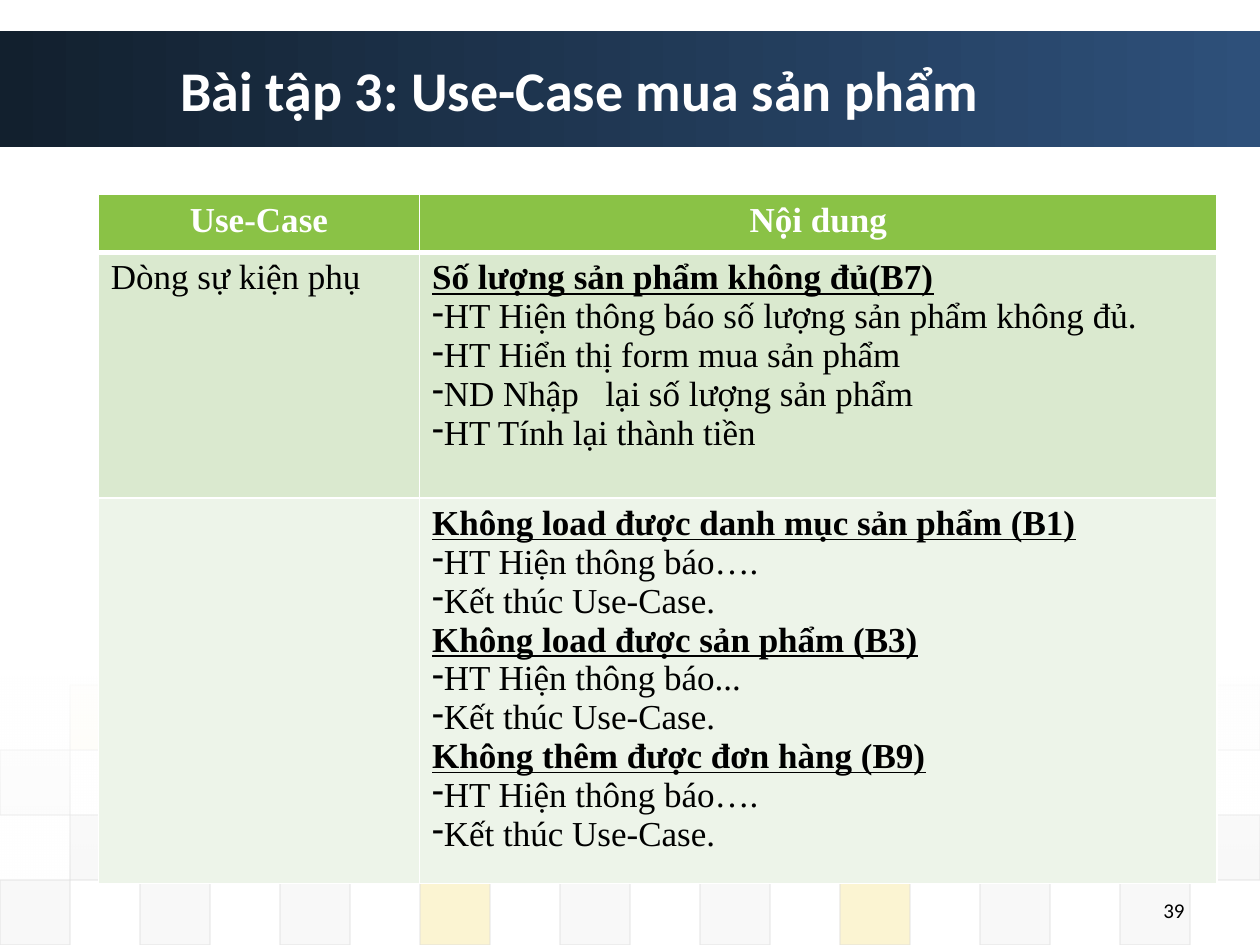
from pptx import Presentation
from pptx.dml.color import RGBColor
from pptx.enum.shapes import MSO_SHAPE
from pptx.enum.text import MSO_ANCHOR, PP_ALIGN
from pptx.oxml import parse_xml
from pptx.oxml.ns import nsdecls, qn
from pptx.util import Inches, Pt
from lxml.etree import SubElement


def color(value):
    return RGBColor.from_string(value)


class SlideBuilder:
    body_font = "Times New Roman"
    title_font = "Calibri"
    white, black, gray = "FFFFFF", "000000", "DDDDDD"
    green, yellow, pale = "8AC246", "EFC821", "EAEAEA"

    def __init__(self, presentation):
        self.width = presentation.slide_width
        self.height = presentation.slide_height
        self.slide = presentation.slides.add_slide(presentation.slide_layouts[5])

    def area(self, left, top, width, height):
        return (int(self.width * left / 100), int(self.height * top / 100),
                int(self.width * width / 100), int(self.height * height / 100))

    def set_alpha(self, fill_element, percents):
        for element, percent in zip(fill_element.iter(qn("a:srgbClr")), percents):
            SubElement(element, qn("a:alpha"), val=str(percent * 1000))

    def rectangle(self, area):
        shape = self.slide.shapes.add_shape(MSO_SHAPE.RECTANGLE, *self.area(*area))
        shape.shadow.inherit = False
        return shape

    def gradient(self, area, colors, angle, alphas=()):
        shape = self.rectangle(area)
        shape.line.fill.background()
        shape.fill.gradient()
        shape.fill.gradient_angle = angle
        for stop, position, value in zip(shape.fill.gradient_stops, (0, 1), colors):
            stop.position = position
            stop.color.rgb = color(value)
        self.set_alpha(shape.element.spPr.find(qn("a:gradFill")), alphas)

    def tile(self, area, value, alpha):
        shape = self.rectangle(area)
        shape.fill.solid()
        shape.fill.fore_color.rgb = color(value)
        shape.line.color.rgb = color(self.gray)
        shape.line.width = Pt(0.75)
        properties = shape.element.spPr
        self.set_alpha(properties.find(qn("a:solidFill")), [alpha])
        self.set_alpha(properties.find(qn("a:ln")), [60])

    def tiles(self, rows, accents):
        column_width, row_height = 100 / 18, 6.88
        top = 100 - len(rows) * row_height
        for row, (first, alpha) in enumerate(rows):
            for column in range(first, 18, 2):
                value = accents.get((row, column), self.pale if row == 0 else self.gray)
                self.tile((column * column_width, top + row * row_height,
                           column_width, row_height), value, alpha)

    def style(self, paragraph, font, size, value, bold=False, underline=False):
        paragraph.font.name = font
        paragraph.font.size = Pt(size)
        paragraph.font.color.rgb = color(value)
        paragraph.font.bold = bold
        paragraph.font.underline = underline

    def title(self, area, text):
        title = self.slide.shapes.title
        title.left, title.top, title.width, title.height = self.area(*area)
        title.text_frame.text = text
        title.text_frame.vertical_anchor = MSO_ANCHOR.MIDDLE
        paragraph = title.text_frame.paragraphs[0]
        paragraph.alignment = PP_ALIGN.LEFT
        self.style(paragraph, self.title_font, 32, self.white, bold=True)
        self.slide.shapes._spTree.append(title.element)

    def page_number(self, area, text):
        box = self.slide.shapes.add_textbox(*self.area(*area))
        box.text_frame.word_wrap = True
        box.text_frame.text = text
        paragraph = box.text_frame.paragraphs[0]
        paragraph.alignment = PP_ALIGN.RIGHT
        self.style(paragraph, self.title_font, 12, self.black)

    def fill_cell(self, cell, value, bottom_width):
        properties = cell._tc.get_or_add_tcPr()
        for side, points in (("L", 1), ("R", 1), ("T", 1), ("B", bottom_width)):
            properties.append(parse_xml(
                f'<a:ln{side} {nsdecls("a")} w="{Pt(points)}"><a:solidFill>'
                f'<a:srgbClr val="{self.white}"/></a:solidFill></a:ln{side}>'))
        cell.fill.solid()
        cell.fill.fore_color.rgb = color(value)

    def write_cell(self, cell, lines, header):
        cell.text = "\n".join(line.removeprefix("-") for line in lines)
        for line, paragraph in zip(lines, cell.text_frame.paragraphs):
            properties = paragraph._p.get_or_add_pPr()
            if line.startswith("-"):
                SubElement(properties, qn("a:buFontTx"))
                SubElement(properties, qn("a:buChar"), char="-")
            heading = len(lines) > 1 and not line.startswith("-")
            if header:
                paragraph.alignment = PP_ALIGN.CENTER
            self.style(paragraph, self.body_font, 20, self.white if header else self.black,
                       bold=header or heading, underline=heading)

    def table(self, area, rows, widths, heights, fills):
        table = self.slide.shapes.add_table(
            len(rows), len(widths), *self.area(*area)).table
        for column, width in zip(table.columns, widths):
            column.width = int(self.width * width / 100)
        for index, (row, height, value) in enumerate(zip(rows, heights, fills)):
            table.rows[index].height = int(self.height * height / 100)
            for cell, lines in zip(table.rows[index].cells, row):
                self.fill_cell(cell, value, 3 if index == 0 else 1)
                self.write_cell(cell, lines, index == 0)


def main():
    presentation = Presentation()
    presentation.slide_width, presentation.slide_height = Inches(10), Inches(7.5)
    builder = SlideBuilder(presentation)
    green, yellow, gray = builder.green, builder.yellow, builder.gray

    builder.gradient((0, 3.33, 100, 12.27), ("12202E", "2E507A"), 0)
    builder.tiles(
        [(1, 5), (0, 10), (1, 20), (0, 20)],
        {(0, 1): yellow, (0, 7): yellow, (0, 9): gray, (0, 11): yellow, (0, 15): green,
         (1, 8): green, (1, 16): yellow, (2, 3): green, (2, 13): green,
         (3, 6): yellow, (3, 12): yellow})
    builder.gradient((0, 71.6, 100, 21.6), ("FFFFFF", "FFFFFF"), 270, (90, 0))
    builder.title((13.3, 3.33, 86.5, 12.27), "Bài tập 3: Use-Case mua sản phẩm")
    rows = [
        (["Use-Case"], ["Nội dung"]),
        (["Dòng sự kiện phụ"],
         ["Số lượng sản phẩm không đủ(B7)",
          "-HT Hiện thông báo số lượng sản phẩm không đủ.",
          "-HT Hiển thị form mua sản phẩm",
          "-ND Nhập   lại số lượng sản phẩm",
          "-HT Tính lại thành tiền"]),
        ([],
         ["Không load được danh mục sản phẩm (B1)",
          "-HT Hiện thông báo….", "-Kết thúc Use-Case.",
          "Không load được sản phẩm (B3)",
          "-HT Hiện thông báo...", "-Kết thúc Use-Case.",
          "Không thêm được đơn hàng (B9)",
          "-HT Hiện thông báo….", "-Kết thúc Use-Case."]),
    ]
    builder.table((7.8, 20.6, 88.8, 72.9), rows, (25.5, 63.3), (6.1, 26, 40.8),
                  ("8AC246", "DAE9CF", "EDF4E9"))
    builder.page_number((71.7, 94.3, 23.3, 4.4), "39")
    presentation.save("out.pptx")


if __name__ == "__main__":
    main()
